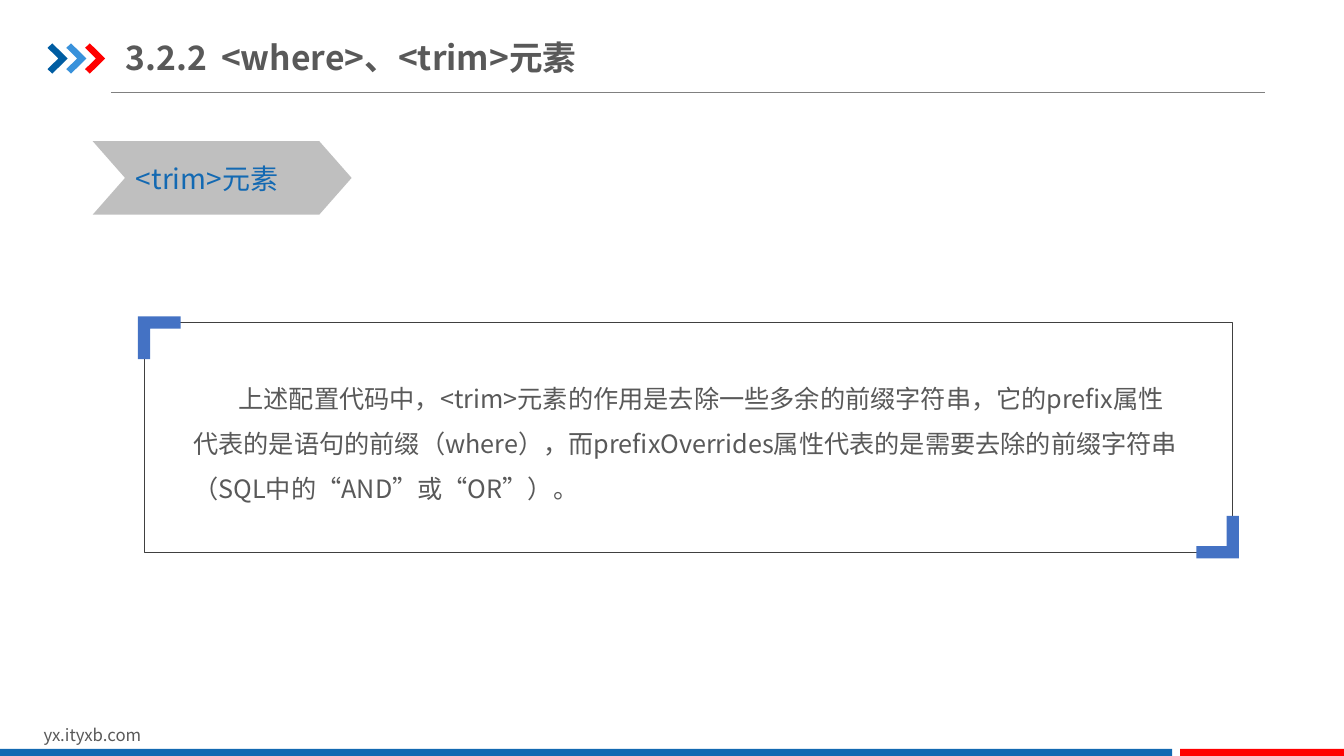
from lxml.etree import SubElement as Sub
from pptx import Presentation
from pptx.dml.color import RGBColor
from pptx.enum.shapes import MSO_CONNECTOR as Link, MSO_SHAPE as Kind
from pptx.enum.text import MSO_ANCHOR as Anchor
from pptx.oxml.ns import qn
from pptx.util import Pt


def tint(code):
    return RGBColor.from_string(code)


class Page:
    face = "Noto Sans CJK SC"
    ink = "595959"
    blue = "1369B2"
    red = "FF0000"
    mark = "4472C4"

    def __init__(self, slide):
        self.shapes = slide.shapes

    def paint(self, shape, fill=None, line=None, width=0.25):
        shape.shadow.inherit = False
        if fill:
            shape.fill.solid()
            shape.fill.fore_color.rgb = tint(fill)
        else:
            shape.fill.background()
        if line:
            shape.line.color.rgb = tint(line)
            shape.line.width = Pt(width)
        else:
            shape.line.fill.background()

    def block(self, kind, box, **style):
        shape = self.shapes.add_shape(kind, *map(Pt, box))
        self.paint(shape, **style)
        return shape

    def outline(self, dots, fill):
        first, *rest = [(Pt(x), Pt(y)) for x, y in dots]
        pen = self.shapes.build_freeform(*first)
        pen.add_line_segments(rest, close=True)
        self.paint(pen.convert_to_shape(), fill)

    def rule(self, start, end, color, width):
        ends = map(Pt, (*start, *end))
        line = self.shapes.add_connector(Link.STRAIGHT, *ends)
        line.line.color.rgb = tint(color)
        line.line.width = Pt(width)
        Sub(line.element.spPr, qn("a:effectLst"))

    def text(self, words, box, size, color=ink, bold=False, wrap=True,
             pad=(7.2, 3.6), anchor=Anchor.TOP, lead=None, indent=0, tab=None):
        frame = self.shapes.add_textbox(*map(Pt, box)).text_frame
        frame.word_wrap = wrap
        frame.vertical_anchor = anchor
        frame.margin_left = frame.margin_right = Pt(pad[0])
        frame.margin_top = frame.margin_bottom = Pt(pad[1])
        frame.text = words
        para = frame.paragraphs[0]
        props = para._p.get_or_add_pPr()
        if indent:
            props.set("indent", str(Pt(indent)))
        if tab:
            stops = Sub(props, qn("a:tabLst"))
            Sub(stops, qn("a:tab"), pos=str(Pt(tab)), algn="l")
        if lead:
            para.line_spacing = lead
        for run in para.runs:
            font = run.font
            font.size = Pt(size)
            font.bold = bold
            font.color.rgb = tint(color)
            font.name = self.face
            Sub(run._r.get_or_add_rPr(), qn("a:ea"), typeface=self.face)


def main():
    deck = Presentation()
    deck.slide_width, deck.slide_height = Pt(960), Pt(540)
    page = Page(deck.slides.add_slide(deck.slide_layouts[6]))

    page.rule((79.2, 65.8), (903.6, 65.8), "808080", 0.5)
    arrow = [(0, 3.2), (3.4, 0), (14.4, 10.8), (3.4, 21.6), (0, 18.4), (7.7, 10.8)]
    for i, color in enumerate(("005DA2", "3992DB", page.red)):
        page.outline([(34 + 13.4 * i + x, 31 + y) for x, y in arrow], color)

    page.text("yx.ityxb.com", (24, 514, 229, 21.6), 12)
    page.block(Kind.RECTANGLE, (0, 535, 837.2, 6), fill=page.blue)
    page.block(Kind.RECTANGLE, (843, 535, 117, 6), fill=page.red)

    page.text("3.2.2\t<where>、<trim>元素", (90, 20.9, 363, 39.6), 24, bold=True,
              pad=(0, 5), anchor=Anchor.MIDDLE, tab=68)

    tag = page.block(Kind.CHEVRON, (66.2, 100.8, 185, 52.6), fill="BFBFBF")
    tag.adjustments[0] = 0.44
    page.text("<trim>元素", (90, 111.6, 130.3, 31.7), 20, page.blue, wrap=False)

    page.text("上述配置代码中，<trim>元素的作用是去除一些多余的前缀字符串，"
              "它的prefix属性代表的是语句的前缀（where），而prefixOverrides"
              "属性代表的是需要去除的前缀字符串（SQL中的“AND”或“OR”）。",
              (131, 259.2, 718, 102.2), 18, lead=1.5, indent=32.3)
    page.block(Kind.RECTANGLE, (103, 230.4, 777, 164.2), line="404040")
    hook = [(0, 0), (30.4, 0), (30.4, 8.7), (8.7, 8.7), (8.7, 30.4), (0, 30.4)]
    for left, top, way in ((98.6, 226.1, 1), (884.9, 398.9, -1)):
        page.outline([(left + way * x, top + way * y) for x, y in hook], page.mark)

    deck.save("out.pptx")


if __name__ == "__main__":
    main()
